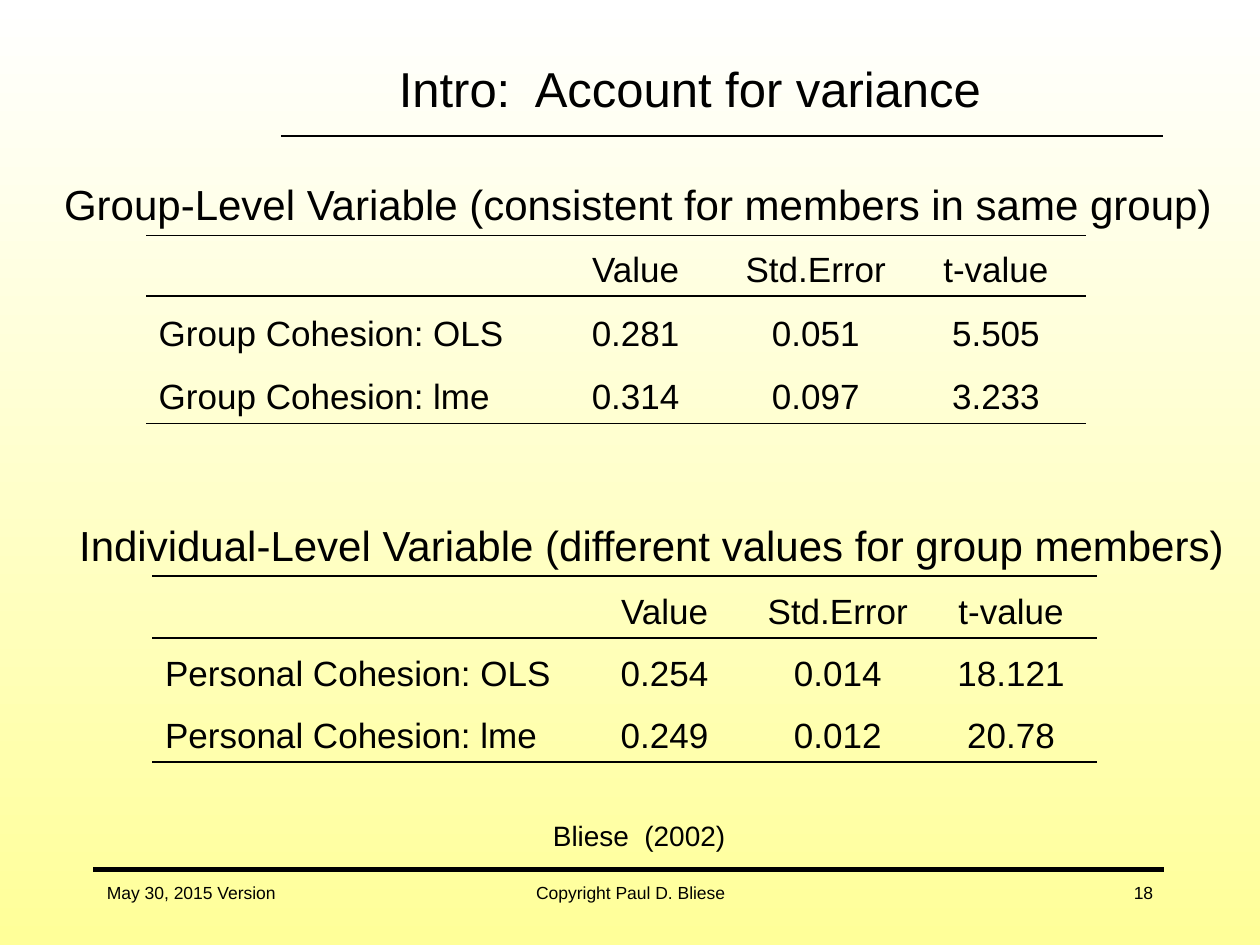
"""Build a slide comparing OLS and lme results in two ruled tables."""
from lxml import etree
from pptx import Presentation
from pptx import util as u
from pptx.dml.color import RGBColor
from pptx.enum import shapes, text
from pptx.oxml.ns import qn

HUES = {"ink": "000000", "top": "FFFFFF", "base": "FFFF99"}
INK = RGBColor.from_string(HUES["ink"])
LEFT, MID, RIGHT = text.PP_ALIGN.LEFT, text.PP_ALIGN.CENTER, text.PP_ALIGN.RIGHT

deck = Presentation()
deck.slide_width, deck.slide_height = u.Inches(10), u.Inches(7.5)
COL, ROW = deck.slide_width / 100, deck.slide_height / 100
slide = deck.slides.add_slide(deck.slide_layouts[5])


def place(x, y, w, h):
    """Turn percentages of the slide into lengths."""
    return [round(n) for n in (x * COL, y * ROW, w * COL, h * ROW)]


def write(frame, words, size, align=LEFT, hang=0):
    """Write one run into the first paragraph of a frame."""
    para = frame.paragraphs[0]
    para.alignment = align
    if hang:
        props = para._p.get_or_add_pPr()
        props.set("marL", str(u.Inches(hang)))
        props.set("indent", str(-u.Inches(hang)))
    run = para.add_run()
    run.text = words
    run.font.size, run.font.name = u.Pt(size), "Arial"
    run.font.color.rgb = INK
    return para


fill = slide.background.fill
fill.gradient()
fill.gradient_angle = 270
for stop, hue in zip(fill.gradient_stops, ("top", "base")):
    stop.color.rgb = RGBColor.from_string(HUES[hue])

for x, end, y, thick in ((22.3, 92.3, 14.4, 1), (7.4, 92.4, 92, 2.75)):
    left, top, wide, _ = place(x, y, end - x, 0)
    rule = slide.shapes.add_connector(
        shapes.MSO_CONNECTOR.STRAIGHT, left, top, left + wide, top)
    rule.line.color.rgb, rule.line.width = INK, u.Pt(thick)
    etree.SubElement(rule._element.spPr, qn("a:effectLst"))

title = slide.shapes.title
title.left, title.top, title.width, title.height = place(18.9, 3.73, 71.7, 11.07)
title.text_frame.vertical_anchor = text.MSO_ANCHOR.MIDDLE
write(title.text_frame, "Intro:  Account for variance", 28, MID)

HIGH, LOW = text.MSO_ANCHOR.TOP, text.MSO_ANCHOR.MIDDLE
notes = (
    ("May 30, 2015 Version", 10, LEFT, LOW, 0, (7.5, 91.07, 20.8, 6.67)),
    ("Copyright Paul D. Bliese", 10, MID, LOW, 0, (34.2, 91.07, 31.7, 6.67)),
    ("18", 10, RIGHT, LOW, 0, (71.7, 91.07, 20.8, 6.67)),
    ("Bliese  (2002)", 16, LEFT, HIGH, 0.38, (42.9, 86, 16.8, 5.47)),
    ("Individual-Level Variable (different values for group members)",
     24, LEFT, HIGH, 0, (5.3, 54.27, 95.7, 6.67)),
    ("Group-Level Variable (consistent for members in same group)",
     24, LEFT, HIGH, 0, (4.1, 18.27, 95.8, 6.67)),
)
for words, size, align, anchor, hang, spot in notes:
    frame = slide.shapes.add_textbox(*place(*spot)).text_frame
    frame.word_wrap, frame.vertical_anchor = True, anchor
    write(frame, words, size, align, hang)

HEAD = ("", "Value", "Std.Error", "t-value")
grids = (
    ((11.6, 24.93), (31.7, 14.3, 14.3, 14.3), (6.4, 6.8, 6.67), 0.38, (
        HEAD,
        ("Group Cohesion: OLS", "0.281", "0.051", "5.505"),
        ("Group Cohesion: lme", "0.314", "0.097", "3.233"))),
    ((12.1, 60.93), (33.8, 13.7, 13.8, 13.7), (6.57, 6.57, 6.57), 0, (
        HEAD,
        ("Personal Cohesion: OLS", "0.254", "0.014", "18.121"),
        ("Personal Cohesion: lme", "0.249", "0.012", "20.78"))),
)
RULED = {0: ("lnT", "lnB"), 1: ("lnT",), 2: ("lnB",)}
for (x, y), wides, highs, hang, data in grids:
    spot = place(x, y, sum(wides), sum(highs))
    table = slide.shapes.add_table(len(data), len(HEAD), *spot).table
    table.first_row = table.horz_banding = False
    for col, wide in zip(table.columns, wides):
        col.width = round(wide * COL)
    for row, high in zip(table.rows, highs):
        row.height = round(high * ROW)
    for r, line in enumerate(data):
        for c, words in enumerate(line):
            cell = table.cell(r, c)
            cell.vertical_anchor = text.MSO_ANCHOR.BOTTOM
            cell.fill.background()
            if words:
                write(cell.text_frame, words, 20, MID if c else LEFT, hang)
            props = cell._tc.get_or_add_tcPr()
            for i, side in enumerate(("lnL", "lnR", "lnT", "lnB")):
                edge = etree.Element(qn("a:" + side), w=str(u.Pt(1)))
                if side in RULED[r]:
                    paint = etree.SubElement(edge, qn("a:solidFill"))
                    etree.SubElement(paint, qn("a:srgbClr"), val=HUES["ink"])
                else:
                    etree.SubElement(edge, qn("a:noFill"))
                props.insert(i, edge)

deck.save("out.pptx")
